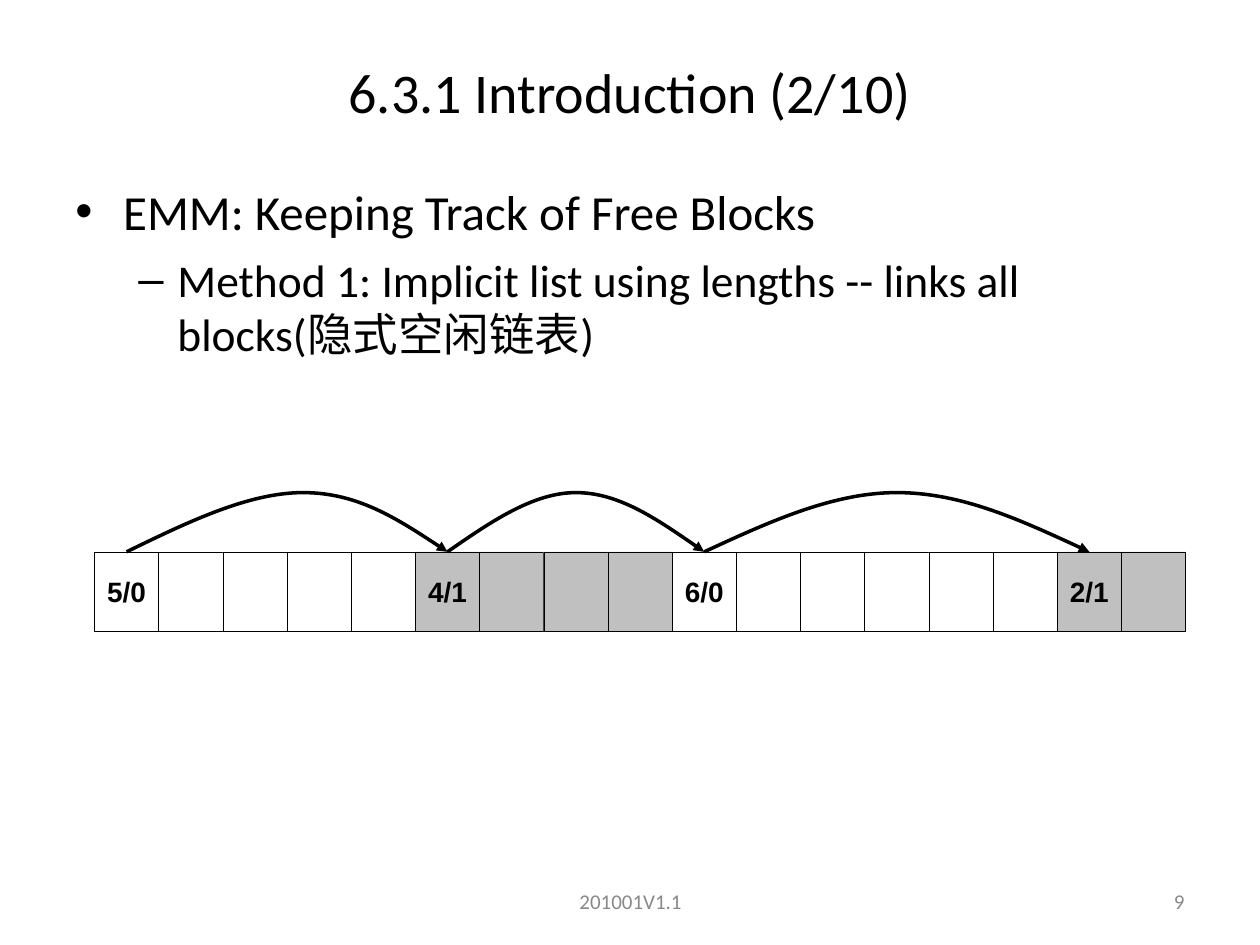
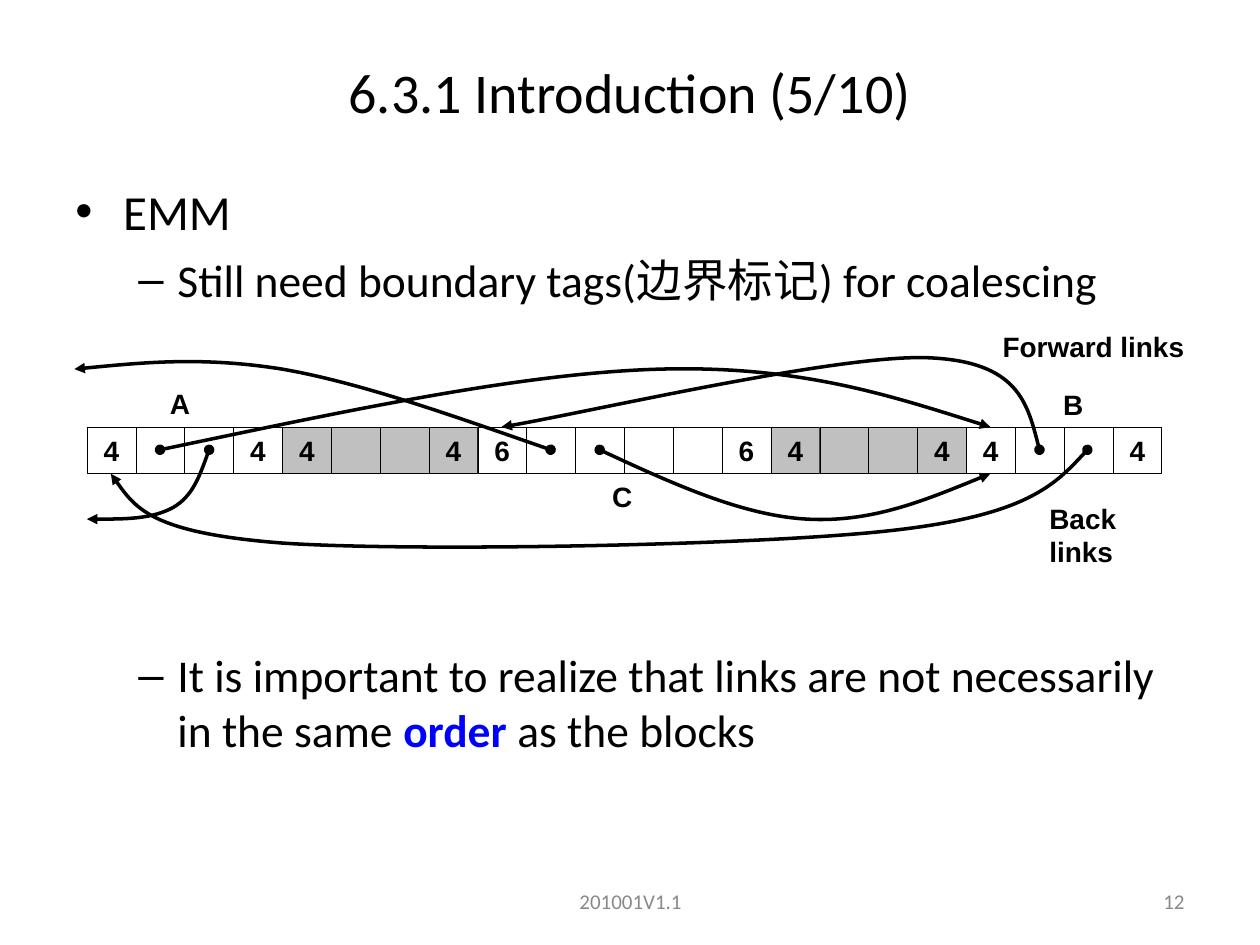
from dataclasses import dataclass
from itertools import pairwise

from lxml import etree
from pptx import Presentation
from pptx.dml.color import RGBColor
from pptx.enum.shapes import MSO_SHAPE
from pptx.enum.text import MSO_ANCHOR, PP_ALIGN
from pptx.oxml.ns import qn
from pptx.slide import Slide
from pptx.text.text import TextFrame, _Paragraph
from pptx.util import Inches, Pt

RECTANGLE = MSO_SHAPE.RECTANGLE
LEFT, CENTER, RIGHT = PP_ALIGN.LEFT, PP_ALIGN.CENTER, PP_ALIGN.RIGHT
TOP, MIDDLE = MSO_ANCHOR.TOP, MSO_ANCHOR.MIDDLE

Point = tuple[float, float]


@dataclass(frozen=True)
class TextStyle:
    font: str
    size: float
    color: RGBColor
    bold: bool = False


@dataclass(frozen=True)
class Theme:
    black: RGBColor = RGBColor(0x00, 0x00, 0x00)
    free: RGBColor = RGBColor(0xFF, 0xFF, 0xFF)
    allocated: RGBColor = RGBColor(0xC0, 0xC0, 0xC0)
    title: TextStyle = TextStyle("Calibri", 32, black)
    topic: TextStyle = TextStyle("Calibri", 28, black)
    detail: TextStyle = TextStyle("Calibri", 26, black)
    keyword: TextStyle = TextStyle("Calibri", 26, RGBColor(0x00, 0x00, 0xFF), True)
    footer: TextStyle = TextStyle("Calibri", 12, RGBColor(0x89, 0x89, 0x89))
    label: TextStyle = TextStyle("Arial", 16, black, True)
    cell_line: float = 0.25
    link_line: float = 2


THEME = Theme()


@dataclass(frozen=True)
class Box:
    left: float
    top: float
    width: float
    height: float

    def lengths(self) -> tuple[int, ...]:
        return tuple(Inches(n) for n in (self.left, self.top, self.width, self.height))


@dataclass(frozen=True)
class Run:
    text: str
    style: TextStyle


@dataclass(frozen=True)
class BulletLevel:
    mark: str
    margin: float
    hanging: float
    space_before: float


TOPIC_LEVEL = BulletLevel("•", 0.38, 0.38, 7)
DETAIL_LEVEL = BulletLevel("–", 0.81, 0.31, 6.5)
DETAIL_BELOW_DIAGRAM = BulletLevel("–", 0.81, 0.31, 195)


@dataclass(frozen=True)
class Bullet:
    level: BulletLevel
    runs: tuple[Run, ...]


@dataclass(frozen=True)
class Block:
    """A heap block: its length in words and its allocated bit."""
    size: int
    allocated: int


@dataclass(frozen=True)
class Label:
    text: str
    box: Box


TITLE_BOX = Box(0, 0.3, 10, 0.85)
BODY_BOX = Box(0.5, 1.39, 9, 5.31)
FOOTER_BOX = Box(3.42, 6.95, 3.17, 0.4)
NUMBER_BOX = Box(7.17, 6.95, 2.33, 0.4)

IMPLICIT_HEAP = Box(0.75, 4.38, 8.66, 0.63)
IMPLICIT_BLOCKS = (Block(5, 0), Block(4, 1), Block(6, 0), Block(2, 1))
ARC_HEIGHT = 0.47
ARC_RISES = (0, 0.5, 1, 1, 1, 0.5, 0)
EVEN_ARC = tuple(step / 6 for step in range(7))
LATE_ARC = (0, 0.19, 0.38, 0.55, 0.72, 0.86, 1)
ARC_SHAPES = (LATE_ARC, EVEN_ARC, EVEN_ARC)

TAGGED_HEAP = Box(0.69, 3.39, 8.53, 0.37)
TAGGED_BLOCKS = (Block(4, 0), Block(4, 1), Block(6, 0), Block(4, 1), Block(4, 0))
FORWARD_LINKS = (
    ((1.27, 3.57), (2.71, 3.27), (4.14, 2.96), (5.24, 2.93),
     (6.34, 2.9), (7.1, 3.15), (7.86, 3.39)),
    ((8.25, 3.57), (8.16, 3.22), (8.08, 2.87), (7.37, 2.84),
     (6.66, 2.81), (4.55, 3.3), (3.98, 3.39)),
    ((4.37, 3.57), (3.62, 3.31), (2.87, 3.04), (2.24, 2.93),
     (1.61, 2.83), (1.1, 2.88), (0.59, 2.93)),
)
BACK_LINKS = (
    ((8.63, 3.57), (8.39, 3.83), (8.15, 4.09), (7.08, 4.21), (6.02, 4.33),
     (3.27, 4.38), (2.24, 4.31), (1.2, 4.23), (1.04, 3.99), (0.88, 3.76)),
    ((4.76, 3.57), (5.32, 3.83), (5.89, 4.09), (6.4, 4.12),
     (6.92, 4.15), (7.39, 3.95), (7.86, 3.76)),
    ((1.66, 3.57), (1.59, 3.76), (1.53, 3.94), (1.37, 4.03),
     (1.2, 4.12), (0.95, 4.12), (0.69, 4.12)),
)
LINK_LABELS = (
    Label("Forward links", Box(7.86, 2.57, 1.64, 0.37)),
    Label("Back links", Box(8.23, 3.93, 1.29, 0.37)),
    Label("A", Box(1.25, 3.02, 0.36, 0.37)),
    Label("B", Box(8.34, 3.03, 0.36, 0.37)),
    Label("C", Box(4.76, 3.76, 0.36, 0.37)),
)


def add_run(paragraph: _Paragraph, run: Run) -> None:
    text_run = paragraph.add_run()
    text_run.text = run.text
    text_run.font.name = run.style.font
    text_run.font.size = Pt(run.style.size)
    text_run.font.bold = run.style.bold
    text_run.font.color.rgb = run.style.color


def write_line(frame: TextFrame, run: Run, align: PP_ALIGN) -> None:
    paragraph = frame.paragraphs[0]
    paragraph.alignment = align
    add_run(paragraph, run)


def add_text_frame(slide: Slide, box: Box, anchor: MSO_ANCHOR, wrap: bool = True) -> TextFrame:
    frame = slide.shapes.add_textbox(*box.lengths()).text_frame
    frame.word_wrap = wrap
    frame.vertical_anchor = anchor
    return frame


def add_bullets(slide: Slide, bullets: tuple[Bullet, ...]) -> None:
    frame = add_text_frame(slide, BODY_BOX, TOP)
    for index, bullet in enumerate(bullets):
        paragraph = frame.add_paragraph() if index else frame.paragraphs[0]
        level = bullet.level
        paragraph.space_before = Pt(level.space_before)
        properties = paragraph._p.get_or_add_pPr()
        properties.set("marL", str(Inches(level.margin)))
        properties.set("indent", str(-Inches(level.hanging)))
        etree.SubElement(properties, qn("a:buFont"), typeface="Arial")
        etree.SubElement(properties, qn("a:buChar"), char=level.mark)
        for run in bullet.runs:
            add_run(paragraph, run)


def add_cell(slide: Slide, box: Box, fill: RGBColor, text: str) -> None:
    cell = slide.shapes.add_shape(RECTANGLE, *box.lengths())
    cell.shadow.inherit = False
    cell.fill.solid()
    cell.fill.fore_color.rgb = fill
    cell.line.color.rgb = THEME.black
    cell.line.width = Pt(THEME.cell_line)
    if text:
        cell.text_frame.word_wrap = False
        cell.text_frame.vertical_anchor = MIDDLE
        write_line(cell.text_frame, Run(text, THEME.label), CENTER)


def add_heap(slide: Slide, heap: Box, blocks: tuple[Block, ...], tagged: bool) -> list[float]:
    """Draw one cell per word and return the centre of each block's first cell.

    Tagged blocks show their size at both ends, others a size/allocated header.
    """
    width = heap.width / sum(block.size for block in blocks)
    left = heap.left
    header_centers = []
    for block in blocks:
        header_centers.append(left + width / 2)
        fill = THEME.allocated if block.allocated else THEME.free
        header = str(block.size) if tagged else f"{block.size}/{block.allocated}"
        labels = {0: header}
        if tagged:
            labels[block.size - 1] = header
        for word in range(block.size):
            add_cell(slide, Box(left, heap.top, width, heap.height), fill, labels.get(word, ""))
            left += width
    return header_centers


def add_link(slide: Slide, points: tuple[Point, ...], dotted_start: bool) -> None:
    """Draw an arrow along cubic curves: a start, then three points per curve."""
    start, *rest = [(Inches(x), Inches(y)) for x, y in points]
    builder = slide.shapes.build_freeform(*start)
    builder.add_line_segments(rest, close=False)
    link = builder.convert_to_shape()
    link.shadow.inherit = False
    link.fill.background()
    link.line.color.rgb = THEME.black
    link.line.width = Pt(THEME.link_line)

    outline = next(link.element.iter(qn("a:path")))
    segments = outline.findall(qn("a:lnTo"))
    for first in range(0, len(segments), 3):
        curve = etree.SubElement(outline, qn("a:cubicBezTo"))
        for segment in segments[first:first + 3]:
            curve.append(segment[0])
            outline.remove(segment)

    line = link.element.spPr.get_or_add_ln()
    if dotted_start:
        etree.SubElement(line, qn("a:headEnd"), type="oval")
    etree.SubElement(line, qn("a:tailEnd"), type="triangle")


def add_base_slide(presentation: Presentation, part: int, number: int,
                   bullets: tuple[Bullet, ...]) -> Slide:
    slide = presentation.slides.add_slide(presentation.slide_layouts[6])
    title = f"6.3.1 Introduction ({part}/10)"
    for text, style, box, align in (
        ("201001V1.1", THEME.footer, FOOTER_BOX, CENTER),
        (str(number), THEME.footer, NUMBER_BOX, RIGHT),
        (title, THEME.title, TITLE_BOX, CENTER),
    ):
        write_line(add_text_frame(slide, box, MIDDLE), Run(text, style), align)
    add_bullets(slide, bullets)
    return slide


def add_implicit_list_slide(presentation: Presentation) -> None:
    slide = add_base_slide(presentation, 2, 9, (
        Bullet(TOPIC_LEVEL, (Run("EMM: Keeping Track of Free Blocks", THEME.topic),)),
        Bullet(DETAIL_LEVEL, (Run(
            "Method 1: Implicit list using lengths -- links all blocks(隐式空闲链表)",
            THEME.detail),)),
    ))
    headers = add_heap(slide, IMPLICIT_HEAP, IMPLICIT_BLOCKS, tagged=False)
    for (start, end), advances in zip(pairwise(headers), ARC_SHAPES):
        points = tuple(
            (start + (end - start) * advance, IMPLICIT_HEAP.top - ARC_HEIGHT * rise)
            for advance, rise in zip(advances, ARC_RISES)
        )
        add_link(slide, points, dotted_start=False)


def add_boundary_tags_slide(presentation: Presentation) -> None:
    slide = add_base_slide(presentation, 5, 12, (
        Bullet(TOPIC_LEVEL, (Run("EMM", THEME.topic),)),
        Bullet(DETAIL_LEVEL, (Run(
            "Still need boundary tags(边界标记) for coalescing", THEME.detail),)),
        Bullet(DETAIL_BELOW_DIAGRAM, (
            Run("It is important to realize that links are not necessarily in the same",
                THEME.detail),
            Run(" order ", THEME.keyword),
            Run("as the blocks", THEME.detail),
        )),
    ))
    add_heap(slide, TAGGED_HEAP, TAGGED_BLOCKS, tagged=True)
    for points in FORWARD_LINKS + BACK_LINKS:
        add_link(slide, points, dotted_start=True)
    for label in LINK_LABELS:
        frame = add_text_frame(slide, label.box, TOP, wrap=False)
        write_line(frame, Run(label.text, THEME.label), LEFT)


def main() -> None:
    presentation = Presentation()
    presentation.slide_width = Inches(10)
    presentation.slide_height = Inches(7.5)
    add_implicit_list_slide(presentation)
    add_boundary_tags_slide(presentation)
    presentation.save("out.pptx")


if __name__ == "__main__":
    main()
